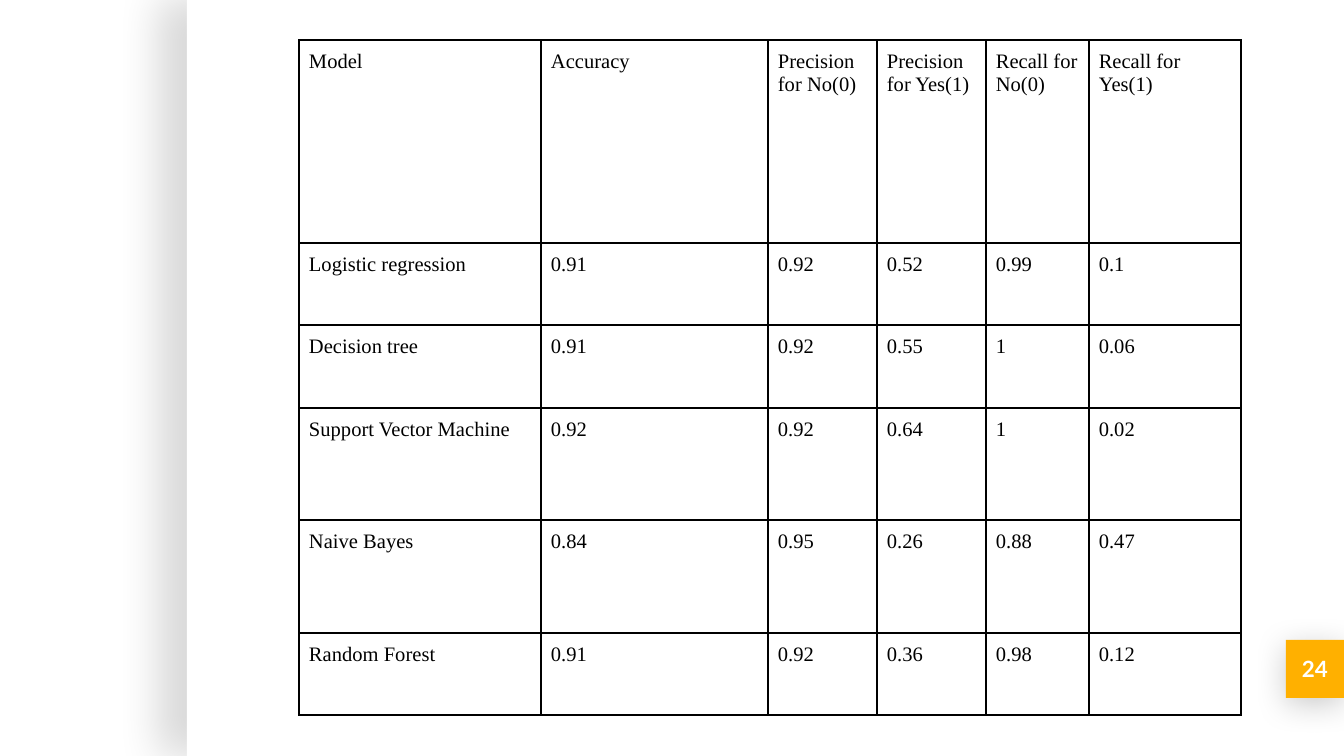
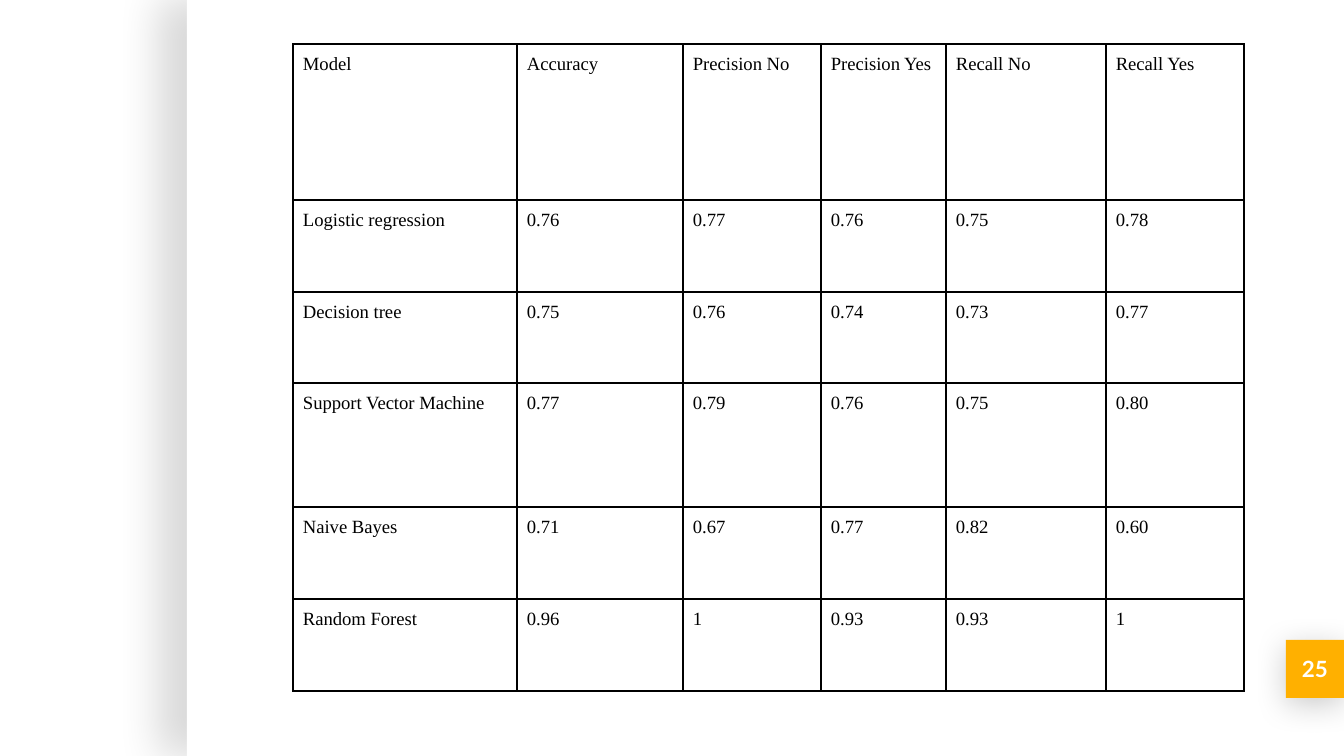
from dataclasses import dataclass

from lxml import etree
from pptx import Presentation
from pptx.dml.color import RGBColor
from pptx.enum.shapes import MSO_SHAPE
from pptx.enum.text import MSO_ANCHOR, PP_ALIGN
from pptx.oxml.ns import qn
from pptx.slide import Slide
from pptx.table import _Cell
from pptx.util import Pt

RECT = MSO_SHAPE.RECTANGLE
MIDDLE = MSO_ANCHOR.MIDDLE
CENTER = PP_ALIGN.CENTER

WIDE, HIGH = 1344, 756
SCALE = 9144000 / WIDE
HEX = {"white": "FFFFFF", "black": "000000", "amber": "FFB000"}
SERIF, SANS = "Times New Roman", "Lato"
PAD, INSET = 10, 13
SIDES = ("a:lnL", "a:lnR", "a:lnT", "a:lnB")


@dataclass(frozen=True)
class Block:
    """A filled rectangle with a soft shadow; alpha in percent, angle in degrees."""
    x: int
    y: int
    w: int
    h: int
    fill: str
    alpha: int
    blur: int
    dist: int
    angle: int


@dataclass(frozen=True)
class Page:
    number: int
    x: int
    y: int
    size: int
    cols: tuple[int, ...]
    rows: tuple[int, ...]
    heads: tuple[str, ...]
    scores: tuple[str, ...]


SHEET = Block(187, 0, WIDE - 187, HIGH, "white", 15, 42, 28, 180)
BADGE = Block(1286, 640, 58, 58, "amber", 20, 32, 7, 90)

MODELS = ("Logistic regression", "Decision tree", "Support Vector Machine",
          "Naive Bayes", "Random Forest")

PAGES = (
    Page(24, 299, 40, 11,
         (242, 227, 109, 109, 103, 152), (203, 82, 83, 112, 113, 82),
         ("Model", "Accuracy", "Precision for No(0)", "Precision for Yes(1)",
          "Recall for No(0)", "Recall for Yes(1)"),
         ("0.91 0.92 0.52 0.99 0.1",
          "0.91 0.92 0.55 1 0.06",
          "0.92 0.92 0.64 1 0.02",
          "0.84 0.95 0.26 0.88 0.47",
          "0.91 0.92 0.36 0.98 0.12")),
    Page(25, 293, 44, 10,
         (224, 166, 138, 125, 160, 138), (156, 92, 91, 124, 92, 92),
         ("Model", "Accuracy", "Precision No", "Precision Yes",
          "Recall No", "Recall Yes"),
         ("0.76 0.77 0.76 0.75 0.78",
          "0.75 0.76 0.74 0.73 0.77",
          "0.77 0.79 0.76 0.75 0.80",
          "0.71 0.67 0.77 0.82 0.60",
          "0.96 1 0.93 0.93 1")),
)


def emu(px: int) -> int:
    return round(px * SCALE)


def tint(parent: etree._Element, name: str) -> etree._Element:
    """Add a plain colour to an XML node and return it."""
    return etree.SubElement(parent, qn("a:srgbClr"), val=HEX[name])


def write(para, text: str, font: str, size: int, color: str, bold: bool = False) -> None:
    run = para.add_run()
    run.text = text
    run.font.name = font
    run.font.size = Pt(size)
    run.font.bold = bold
    run.font.color.rgb = RGBColor.from_string(HEX[color])


def draw_block(slide: Slide, block: Block) -> None:
    shape = slide.shapes.add_shape(
        RECT, emu(block.x), emu(block.y), emu(block.w), emu(block.h))
    shape.fill.solid()
    shape.fill.fore_color.rgb = RGBColor.from_string(HEX[block.fill])
    shape.line.fill.background()
    shape.shadow.inherit = False
    effects = shape._element.spPr.find(qn("a:effectLst"))
    shade = etree.SubElement(
        effects, qn("a:outerShdw"), blurRad=str(emu(block.blur)),
        dist=str(emu(block.dist)), dir=str(block.angle * 60000),
        algn="bl", rotWithShape="0")
    etree.SubElement(tint(shade, "black"), qn("a:alpha"), val=str(block.alpha * 1000))


def draw_number(slide: Slide, number: int) -> None:
    box = slide.shapes.add_textbox(
        emu(BADGE.x), emu(BADGE.y), emu(BADGE.w), emu(BADGE.h))
    frame = box.text_frame
    frame.word_wrap = True
    frame.vertical_anchor = MIDDLE
    frame.margin_left = frame.margin_right = emu(INSET)
    frame.margin_top = frame.margin_bottom = emu(INSET)
    para = frame.paragraphs[0]
    para.alignment = CENTER
    write(para, str(number), SANS, 12, "white", bold=True)


def style_cell(cell: _Cell) -> None:
    """Set padding, thin black borders and no fill."""
    cell.margin_left = cell.margin_right = emu(PAD)
    cell.margin_top = cell.margin_bottom = emu(PAD)
    props = cell._tc.get_or_add_tcPr()
    for side in SIDES:
        line = etree.SubElement(props, qn(side), w=str(Pt(1)))
        tint(etree.SubElement(line, qn("a:solidFill")), "black")
    cell.fill.background()


def draw_table(slide: Slide, page: Page) -> None:
    grid = [page.heads]
    grid += [(model, *line.split()) for model, line in zip(MODELS, page.scores)]
    table = slide.shapes.add_table(
        len(page.rows), len(page.cols), emu(page.x), emu(page.y),
        emu(sum(page.cols)), emu(sum(page.rows))).table
    table.first_row = table.horz_banding = False
    for col, width in zip(table.columns, page.cols):
        col.width = emu(width)
    for row, height, texts in zip(table.rows, page.rows, grid):
        row.height = emu(height)
        for cell, text in zip(row.cells, texts):
            style_cell(cell)
            write(cell.text_frame.paragraphs[0], text, SERIF, page.size, "black")


def main() -> None:
    deck = Presentation()
    deck.slide_width, deck.slide_height = emu(WIDE), emu(HIGH)
    blank = deck.slide_layouts[6]
    for page in PAGES:
        slide = deck.slides.add_slide(blank)
        draw_block(slide, SHEET)
        draw_block(slide, BADGE)
        draw_number(slide, page.number)
        draw_table(slide, page)
    deck.save("out.pptx")


if __name__ == "__main__":
    main()
